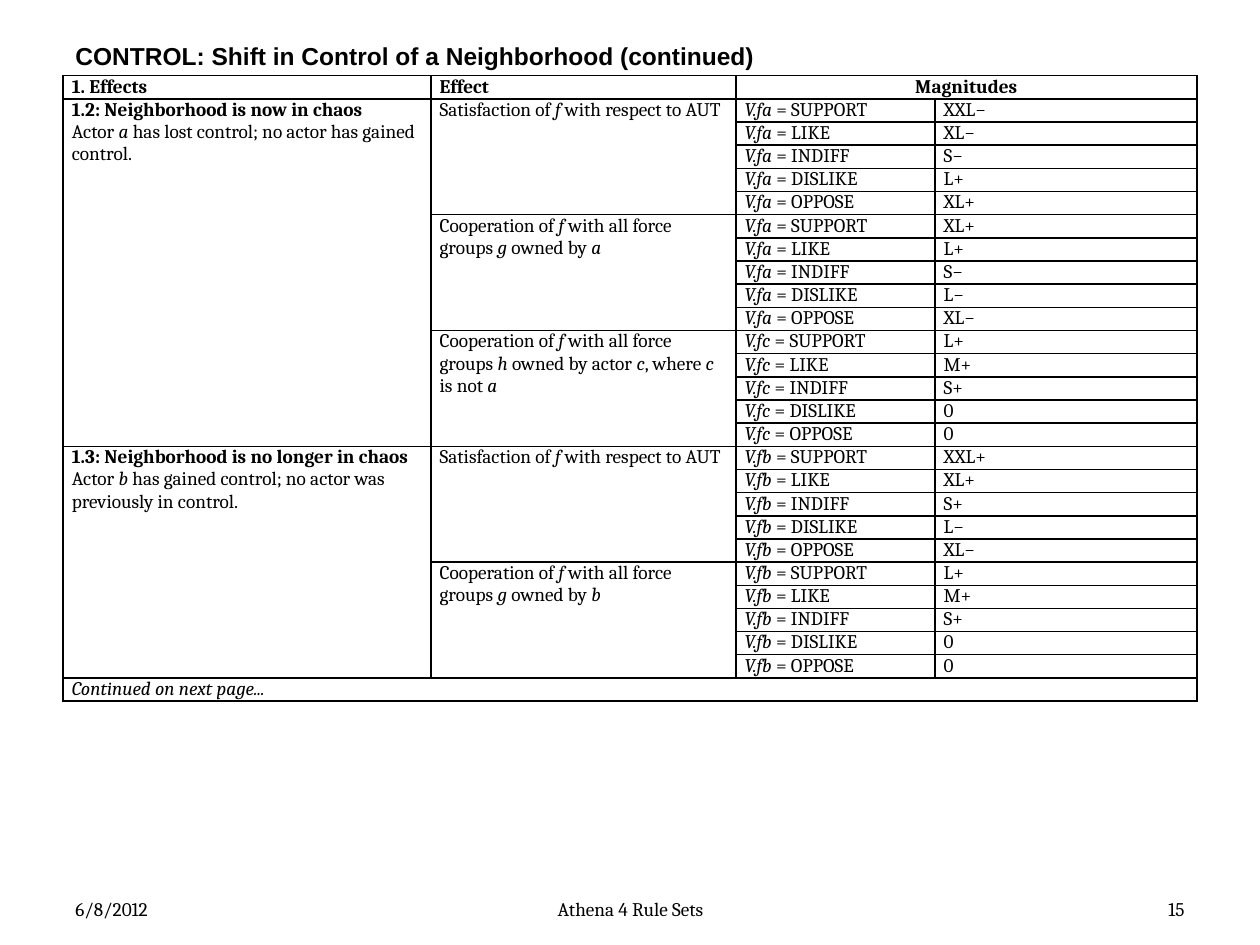
from lxml.etree import SubElement
from pptx import Presentation
from pptx.dml.color import RGBColor
from pptx.enum.text import MSO_ANCHOR, PP_ALIGN
from pptx.oxml.ns import qn
from pptx.util import Inches, Pt

BLACK = RGBColor(0x00, 0x00, 0x00)

COLUMN_WIDTHS = [2.92, 2.42, 1.58, 2.08]
ROW_HEIGHT = 0.17
STANCES = ["SUPPORT", "LIKE", "INDIFF", "DISLIKE", "OPPOSE"]

# Asterisks enclose italic text. Each rule: heading, description, effects;
# each effect: wording, variable, one magnitude per stance.
SATISFACTION = "Satisfaction of *f *with respect to AUT"
COOPERATION = "Cooperation of *f *with all force groups "
RULES = [
    ("1.2: Neighborhood is now in chaos",
     "Actor *a *has lost control; no actor has gained control.",
     [(SATISFACTION, "V.fa", ["XXL−", "XL−", "S−", "L+", "XL+"]),
      (COOPERATION + "*g* owned by *a*", "V.fa", ["XL+", "L+", "S−", "L−", "XL−"]),
      (COOPERATION + "*h *owned by actor *c*, where *c* is not *a*", "V.fc",
       ["L+", "M+", "S+", "0", "0"])]),
    ("1.3: Neighborhood is no longer in chaos",
     "Actor *b* has gained control; no actor was previously in control.",
     [(SATISFACTION, "V.fb", ["XXL+", "XL+", "S+", "L−", "XL−"]),
      (COOPERATION + "*g* owned by *b*", "V.fb", ["L+", "M+", "S+", "0", "0"])]),
]


class RulePage:
    body_font = "Cambria"
    title_font = "Arial"
    body_size = 11
    title_size = 14

    def __init__(self, deck):
        self.slide = deck.slides.add_slide(deck.slide_layouts[6])

    def add_spans(self, para, text, font=None, size=None, bold=False, align=PP_ALIGN.LEFT):
        """Add text run by run, switching italics at each asterisk."""
        para.alignment = align
        for index, part in enumerate(text.split("*")):
            if part:
                span = para.add_run()
                span.text = part
                span.font.name = font or self.body_font
                span.font.size = Pt(size or self.body_size)
                span.font.bold = bold
                span.font.italic = index % 2 == 1
                span.font.color.rgb = BLACK

    def add_text(self, left, top, width, height, text, **style):
        box = self.slide.shapes.add_textbox(
            Inches(left), Inches(top), Inches(width), Inches(height))
        frame = box.text_frame
        frame.word_wrap = True
        frame.vertical_anchor = MSO_ANCHOR.MIDDLE
        frame.margin_top = frame.margin_bottom = 0
        self.add_spans(frame.paragraphs[0], text, **style)

    def add_table(self, left, top, widths, row_count):
        frame = self.slide.shapes.add_table(
            row_count, len(widths), Inches(left), Inches(top),
            Inches(sum(widths)), Inches(ROW_HEIGHT * row_count))
        table = frame.table
        table.first_row = table.horz_banding = False
        for column, width in zip(table.columns, widths):
            column.width = Inches(width)
        for row in table.rows:
            row.height = Inches(ROW_HEIGHT)
            for cell in row.cells:
                self.style_cell(cell)
        return table

    def style_cell(self, cell):
        cell.margin_left = cell.margin_right = Inches(0.07)
        cell.margin_top = cell.margin_bottom = 0
        properties = cell._tc.get_or_add_tcPr()
        for side in ("a:lnL", "a:lnR", "a:lnT", "a:lnB"):
            line = SubElement(properties, qn(side), w=str(Pt(1)))
            fill = SubElement(line, qn("a:solidFill"))
            SubElement(fill, qn("a:srgbClr"), val=str(BLACK))
        cell.fill.background()
        # Keeps cells without text from stretching their row
        SubElement(cell.text_frame.paragraphs[0]._p, qn("a:endParaRPr"),
                   sz=str(self.body_size * 100))

    def fill_cell(self, table, row, column, text, rows=1, columns=1, **style):
        cell = table.cell(row, column)
        if rows * columns > 1:
            cell.merge(table.cell(row + rows - 1, column + columns - 1))
        self.add_spans(cell.text_frame.paragraphs[0], text, **style)
        return cell


def main():
    deck = Presentation()
    deck.slide_width, deck.slide_height = Inches(10), Inches(7.5)
    page = RulePage(deck)

    # Title
    page.add_text(0.5, 0.3, 9, 0.28, "CONTROL: Shift in Control of a Neighborhood (continued)",
                  font=page.title_font, size=page.title_size, bold=True)

    # Footer
    page.add_text(0.5, 7.08, 2.33, 0.27, "6/8/2012")
    page.add_text(3.42, 7.08, 3.17, 0.27, "Athena 4 Rule Sets", align=PP_ALIGN.CENTER)
    page.add_text(7.17, 7.08, 2.33, 0.27, "15", align=PP_ALIGN.RIGHT)

    # Table header
    step = len(STANCES)
    row_count = 2 + step * sum(len(effects) for _, _, effects in RULES)
    table = page.add_table(0.5, 0.6, COLUMN_WIDTHS, row_count)
    page.fill_cell(table, 0, 0, "1. Effects", bold=True)
    page.fill_cell(table, 0, 1, "Effect", bold=True)
    page.fill_cell(table, 0, 2, "Magnitudes", columns=2, bold=True, align=PP_ALIGN.CENTER)

    # Rules, their effects and magnitudes
    row = 1
    for heading, description, effects in RULES:
        rule = page.fill_cell(table, row, 0, heading, rows=step * len(effects), bold=True)
        page.add_spans(rule.text_frame.add_paragraph(), description)
        for effect, variable, magnitudes in effects:
            page.fill_cell(table, row, 1, effect, rows=step)
            for stance, magnitude in zip(STANCES, magnitudes):
                page.fill_cell(table, row, 2, f"*{variable}* = {stance}")
                page.fill_cell(table, row, 3, magnitude)
                row += 1

    # Closing row
    page.fill_cell(table, row, 0, "*Continued on next page...*", columns=len(COLUMN_WIDTHS))

    deck.save("out.pptx")


if __name__ == "__main__":
    main()
